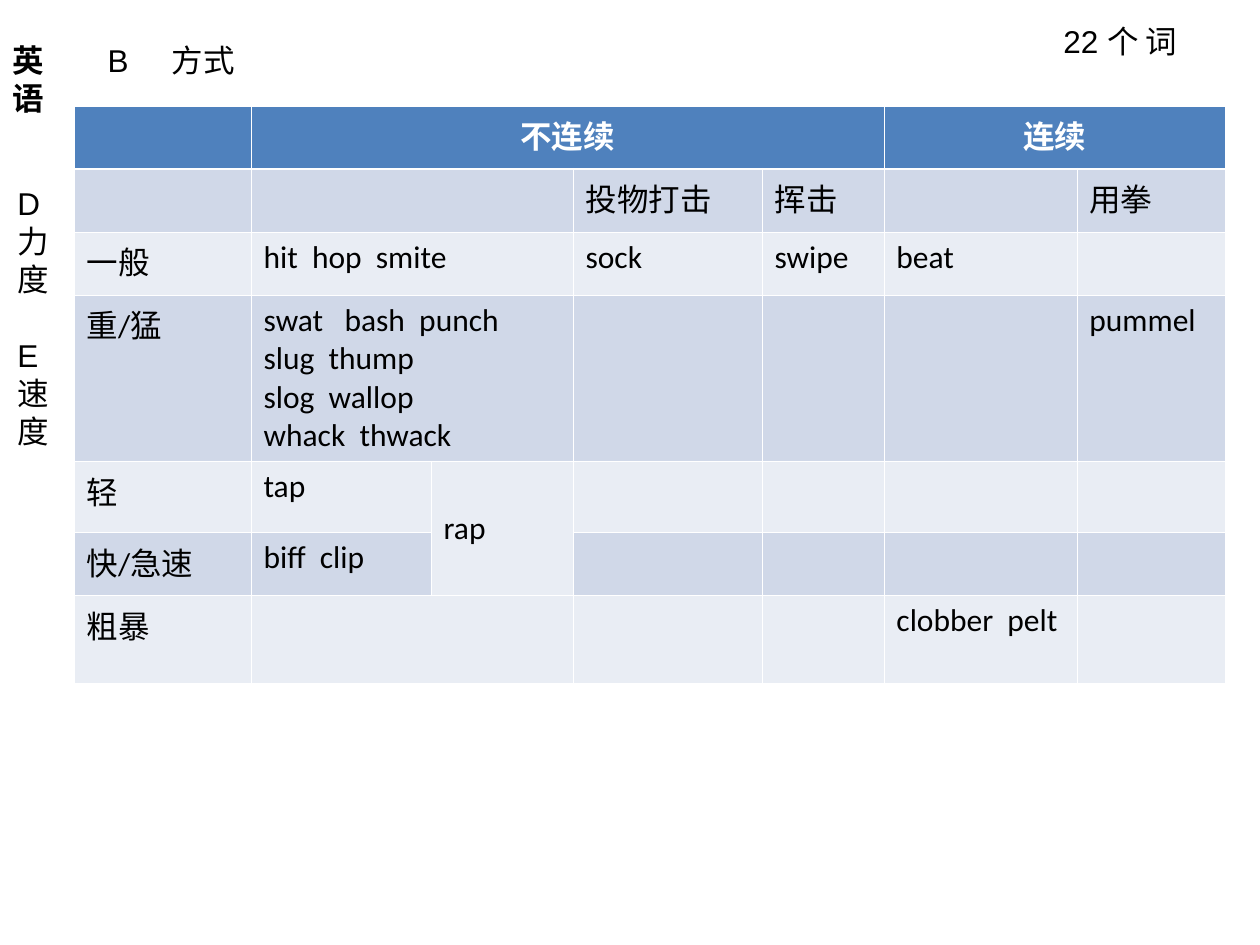
"""Builds the slide that sorts English hitting verbs by manner, force and speed."""
from dataclasses import dataclass

from lxml.etree import SubElement
from pptx import Presentation
from pptx.dml.color import RGBColor
from pptx.enum.text import MSO_ANCHOR, PP_ALIGN
from pptx.oxml.ns import qn
from pptx.util import Emu, Pt

PX = 914400 // 126
WHITE, BLACK = "FFFFFF", "000000"
HEADER, BANDS = "4F81BD", ("E9EDF4", "D0D8E8")
THIN, THICK = 0.45, 1.47


@dataclass
class Label:
    box: tuple[int, int, int, int]
    lines: list[str]
    font: str = "Arial"
    bold: bool = False
    gap: int = 0


TITLE = Label((95, 35, 456, 50), ["B\t方式"])
LABELS = [
    Label((0, 35, 84, 88), ["英语"], "Calibri", True),
    Label((5, 178, 79, 277), ["D 力度", "E 速度"], gap=22),
    Label((1051, 16, 198, 50), ["22 个 词"]),
]
TABLE_AT = (74, 106)
COLS = [177, 180, 142, 189, 122, 193, 149]
ROWS = [63, 63, 63, 164, 71, 63, 88]
MERGES = [(0, 1, 0, 4), (0, 5, 0, 6), (4, 2, 5, 2)] + [(r, 1, r, 2) for r in (1, 2, 3, 6)]
WORDS = [
    ["", "不连续", "", "", "", "连续", ""],
    ["", "", "", "投物打击", "挥击", "", "用拳"],
    ["一般", "hit  hop  smite", "", "sock", "swipe", "beat", ""],
    ["重/猛", "swat   bash  punch\nslug  thump\nslog  wallop\nwhack  thwack",
     "", "", "", "", "pummel"],
    ["轻", "tap", "rap", "", "", "", ""],
    ["快/急速", "biff  clip", "", "", "", "", ""],
    ["粗暴", "", "", "", "", "clobber  pelt", ""],
]


def px(*values: int) -> list[Emu]:
    return [Emu(v * PX) for v in values]


def rgb(value: str) -> RGBColor:
    return RGBColor.from_string(value)


def set_all(obj, formats: dict) -> None:
    for name, value in formats.items():
        setattr(obj, name, value)


def write(tf, lines: list[str], font: str, color: str = BLACK, bold: bool = False,
          align: PP_ALIGN = PP_ALIGN.LEFT, gap: int = 0) -> None:
    for i, line in enumerate(lines):
        p = tf.paragraphs[0] if i == 0 else tf.add_paragraph()
        set_all(p, {"alignment": align, "space_before": Pt(gap if i else 0)})
        if "\t" in line:
            tabs = SubElement(p._p.get_or_add_pPr(), qn("a:tabLst"))
            SubElement(tabs, qn("a:tab"), pos=str(64 * PX), algn="l")
        r = p.add_run()
        r.text = line
        set_all(r.font, {"name": font, "size": Pt(18), "bold": bold})
        r.font.color.rgb = rgb(color)


def place_label(sp, label: Label) -> None:
    box = dict(zip(("left", "top", "width", "height"), px(*label.box)))
    set_all(sp, box)
    tf = sp.text_frame
    set_all(tf, {"word_wrap": True, "vertical_anchor": MSO_ANCHOR.TOP})
    write(tf, label.lines, label.font, bold=label.bold, gap=label.gap)


def set_borders(cell, widths: dict[str, float]) -> None:
    tc_pr = cell._tc.get_or_add_tcPr()
    for side, width in widths.items():
        ln = SubElement(tc_pr, qn(f"a:ln{side}"), w=str(Pt(width)))
        SubElement(SubElement(ln, qn("a:solidFill")), qn("a:srgbClr"), val=WHITE)


def format_cell(cell, row: int, text: str) -> None:
    header = row == 0
    set_borders(cell, {"L": THIN, "R": THIN, "T": THICK if row == 1 else THIN,
                       "B": THICK if header else THIN})
    cell.fill.solid()
    cell.fill.fore_color.rgb = rgb(HEADER if header else BANDS[row % 2])
    if text:
        write(cell.text_frame, text.split("\n"), "Calibri", WHITE if header else BLACK,
              header, PP_ALIGN.CENTER if header else PP_ALIGN.LEFT)


def add_word_table(s) -> None:
    size = px(*TABLE_AT, sum(COLS), sum(ROWS))
    table = s.shapes.add_table(len(ROWS), len(COLS), *size).table
    for col, width in zip(table.columns, px(*COLS)):
        col.width = width
    for row, height in zip(table.rows, px(*ROWS)):
        row.height = height
    for r, words in enumerate(WORDS):
        for c, text in enumerate(words):
            format_cell(table.cell(r, c), r, text)
    for top, left, bottom, right in MERGES:
        table.cell(top, left).merge(table.cell(bottom, right))
    table.cell(4, 2).vertical_anchor = MSO_ANCHOR.MIDDLE


def main() -> None:
    prs = Presentation()
    set_all(prs, dict(zip(("slide_width", "slide_height"), px(1260, 945))))
    s = prs.slides.add_slide(prs.slide_layouts[5])
    place_label(s.shapes.title, TITLE)
    add_word_table(s)
    for label in LABELS:
        place_label(s.shapes.add_textbox(*px(*label.box)), label)
    prs.save("out.pptx")


main()
